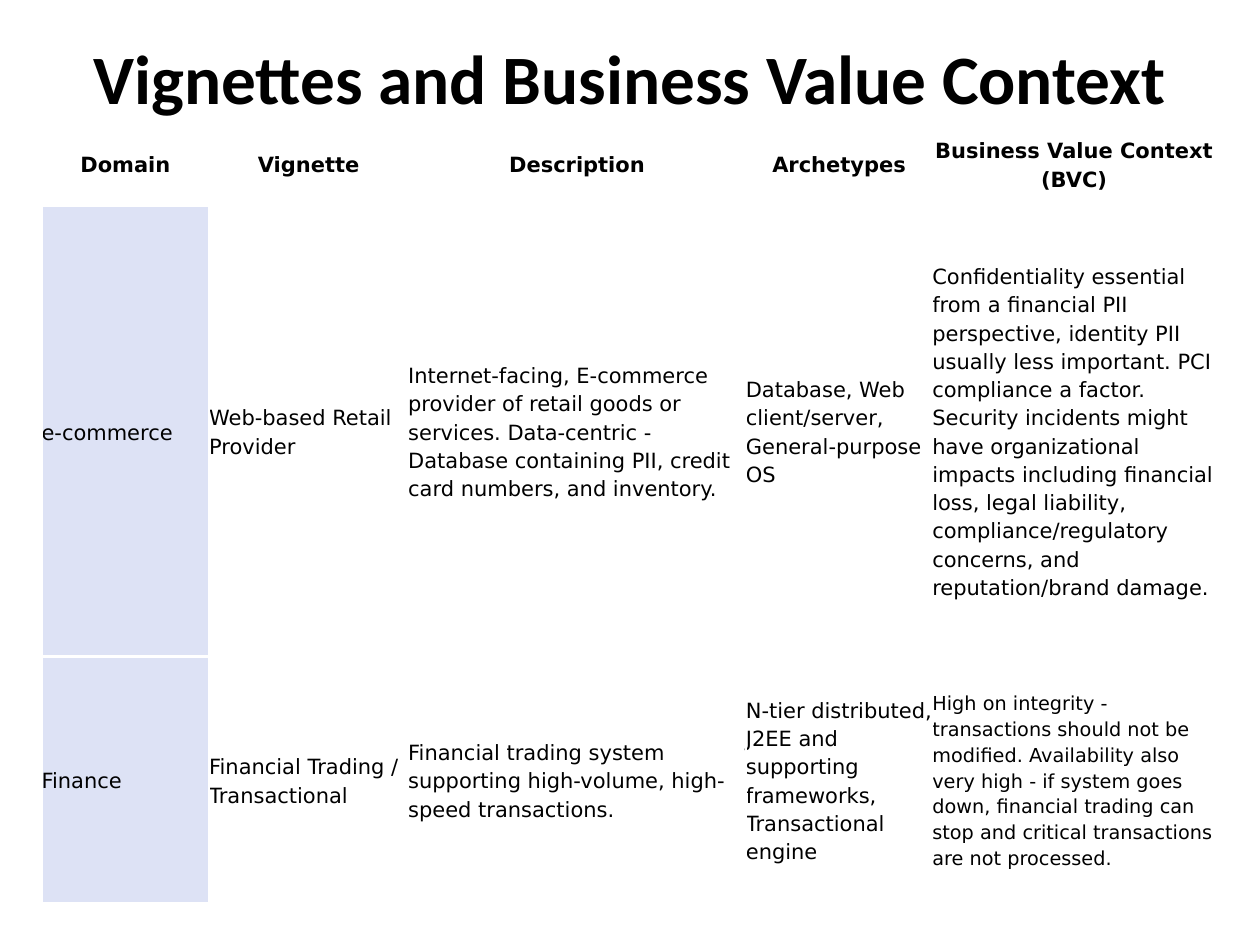
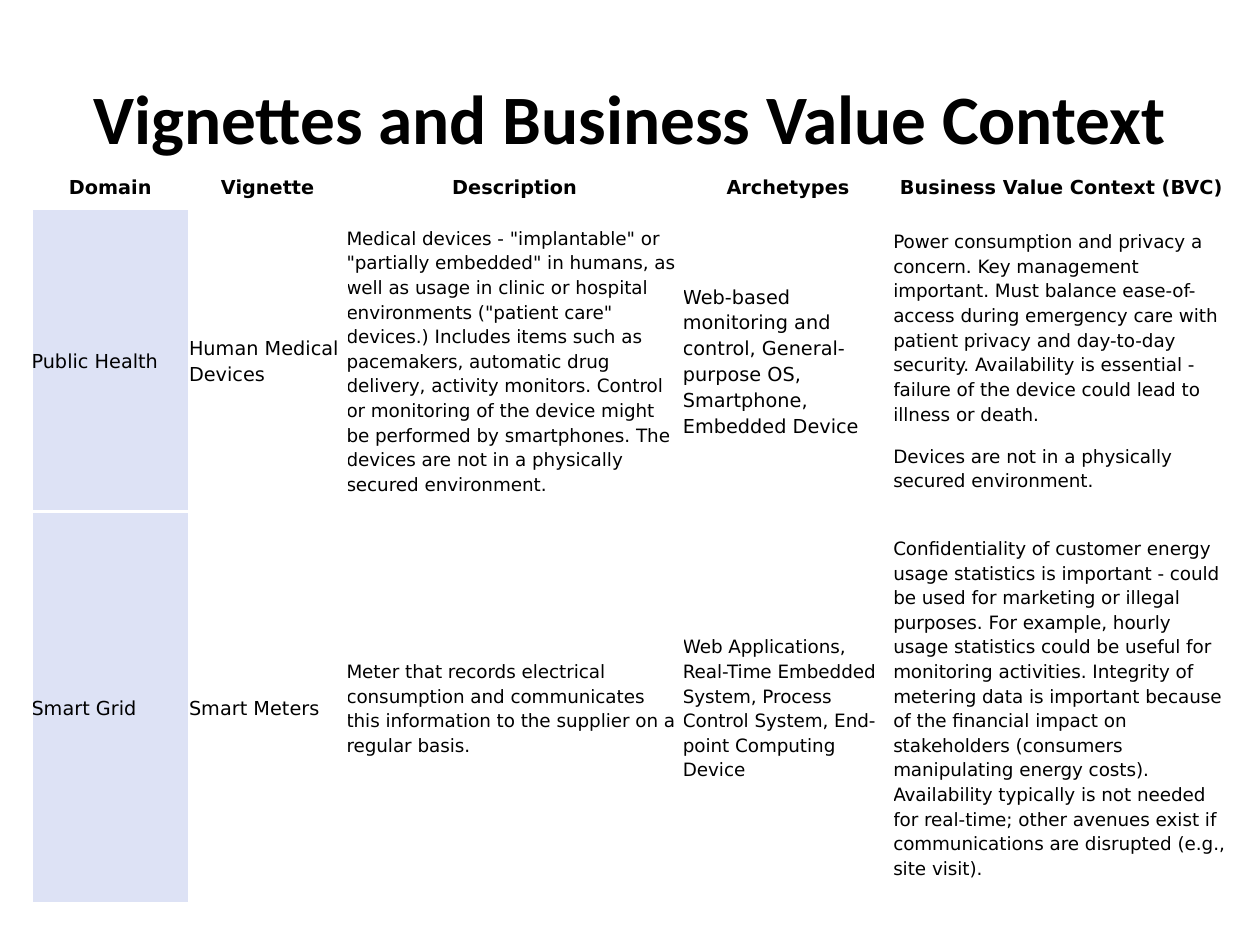
"""Build two slides of vignette tables with their business value context."""
import pptx
import pptx.util
import pptx.dml.color
import pptx.enum.text
import pptx.oxml
import pptx.oxml.ns

Inches, Pt = pptx.util.Inches, pptx.util.Pt
RGBColor = pptx.dml.color.RGBColor
ALIGN = pptx.enum.text.PP_ALIGN
MIDDLE = pptx.enum.text.MSO_ANCHOR.MIDDLE

BLACK = RGBColor(0x00, 0x00, 0x00)
WHITE = RGBColor(0xFF, 0xFF, 0xFF)
LILAC = RGBColor(0xDD, 0xE2, 0xF5)
HEAD_FONT, BODY_FONT = "Calibri", "DejaVu Sans"
EDGE = 1.5

TITLE = "Vignettes and Business Value Context"
HEADS = ["Domain", "Vignette", "Description", "Archetypes", "Business Value Context (BVC)"]

# A plain string is a normal cell; a tuple holds the paragraphs of a small-print cell.
SLIDES = [
    {
        "title": (0.5, 0.3, 9, 0.62),
        "table": (0.33, 0.97),
        "cols": [1.33, 1.58, 2.68, 1.48, 2.25],
        "rows": [0.66, 3.58, 1.96],
        "size": 12,
        "small": 11,
        "cells": [
            [
                "e-commerce",
                "Web-based Retail Provider",
                "Internet-facing, E-commerce provider of retail goods or services. "
                "Data-centric - Database containing PII, credit card numbers, and inventory.",
                "Database, Web client/server, General-purpose OS",
                "Confidentiality essential from a financial PII perspective, identity PII "
                "usually less important. PCI compliance a factor. Security incidents might "
                "have organizational impacts including financial loss, legal liability, "
                "compliance/regulatory concerns, and reputation/brand damage.",
            ],
            [
                "Finance",
                "Financial Trading / Transactional",
                "Financial trading system supporting high-volume, high-speed transactions.",
                "N-tier distributed, J2EE and supporting frameworks, Transactional engine",
                ("High on integrity - transactions should not be modified. Availability also "
                 "very high - if system goes down, financial trading can stop and critical "
                 "transactions are not processed.",),
            ],
        ],
    },
    {
        "title": (0.5, 0.3, 9, 1.25),
        "table": (0.25, 1.29),
        "cols": [1.25, 1.25, 2.67, 1.67, 2.67],
        "rows": [0.37, 2.4, 3.11],
        "size": 11,
        "small": 10.5,
        "cells": [
            [
                "Public Health",
                "Human Medical Devices",
                ('Medical devices - "implantable" or "partially embedded" in humans, as well '
                 'as usage in clinic or hospital environments ("patient care" devices.) '
                 "Includes items such as pacemakers, automatic drug delivery, activity "
                 "monitors. Control or monitoring of the device might be performed by "
                 "smartphones. The devices are not in a physically secured environment.",),
                "Web-based monitoring and control, General-purpose OS, Smartphone, "
                "Embedded Device",
                ("Power consumption and privacy a concern. Key management important. Must "
                 "balance ease-of-access during emergency care with patient privacy and "
                 "day-to-day security. Availability is essential - failure of the device "
                 "could lead to illness or death.",
                 "Devices are not in a physically secured environment."),
            ],
            [
                "Smart Grid",
                "Smart Meters",
                ("Meter that records electrical consumption and communicates this "
                 "information to the supplier on a regular basis.",),
                ("Web Applications, Real-Time Embedded System, Process Control System, "
                 "End-point Computing Device",),
                ("Confidentiality of customer energy usage statistics is important - could "
                 "be used for marketing or illegal purposes. For example, hourly usage "
                 "statistics could be useful for monitoring activities. Integrity of "
                 "metering data is important because of the financial impact on "
                 "stakeholders (consumers manipulating energy costs). Availability typically "
                 "is not needed for real-time; other avenues exist if communications are "
                 "disrupted (e.g., site visit).",),
            ],
        ],
    },
]


def add_run(para, text, font, size, bold):
    run = para.add_run()
    run.text = text
    run.font.name, run.font.size, run.font.bold = font, Pt(size), bold
    run.font.color.rgb = BLACK


def add_title(slide, box):
    title = slide.shapes.title
    title.left, title.top, title.width, title.height = map(Inches, box)
    frame = title.text_frame
    frame.auto_size = pptx.enum.text.MSO_AUTO_SIZE.NONE
    frame.word_wrap, frame.vertical_anchor = True, MIDDLE
    para = frame.paragraphs[0]
    para.alignment = ALIGN.CENTER
    add_run(para, TITLE, HEAD_FONT, 39.6, True)


def set_edges(cell):
    props = cell._tc.get_or_add_tcPr()
    for spot, side in enumerate("LRTB"):
        props.insert(spot, pptx.oxml.parse_xml(
            f'<a:ln{side} {pptx.oxml.ns.nsdecls("a")} w="{Pt(EDGE)}"><a:solidFill>'
            f'<a:srgbClr val="{WHITE}"/></a:solidFill></a:ln{side}>'))


def fill_cell(cell, entry, data, head, shaded):
    cell.margin_left = cell.margin_right = cell.margin_top = cell.margin_bottom = 0
    cell.vertical_anchor = MIDDLE
    if shaded:
        cell.fill.solid()
        cell.fill.fore_color.rgb = LILAC
    else:
        cell.fill.background()
    set_edges(cell)
    small = isinstance(entry, tuple)
    frame = cell.text_frame
    for num, text in enumerate(entry if small else [entry]):
        para = frame.add_paragraph() if num else frame.paragraphs[0]
        para.alignment = ALIGN.CENTER if head else ALIGN.LEFT
        para.line_spacing = 1.15
        if small:
            para.space_after = Pt(10)
        add_run(para, text, BODY_FONT, data["small" if small else "size"], head)


def add_grid(slide, data):
    cols, rows = data["cols"], data["rows"]
    box = (*data["table"], sum(cols), sum(rows))
    table = slide.shapes.add_table(len(rows), len(cols), *map(Inches, box)).table
    table.first_row = table.horz_banding = False
    for col, width in zip(table.columns, cols):
        col.width = Inches(width)
    for row, height in zip(table.rows, rows):
        row.height = Inches(height)
    for r, line in enumerate([HEADS] + data["cells"]):
        for c, entry in enumerate(line):
            fill_cell(table.cell(r, c), entry, data, r == 0, r > 0 and c == 0)


def main():
    deck = pptx.Presentation()
    deck.slide_width, deck.slide_height = Inches(10), Inches(7.5)
    for data in SLIDES:
        slide = deck.slides.add_slide(deck.slide_layouts[5])
        add_title(slide, data["title"])
        add_grid(slide, data)
    deck.save("out.pptx")


if __name__ == "__main__":
    main()
